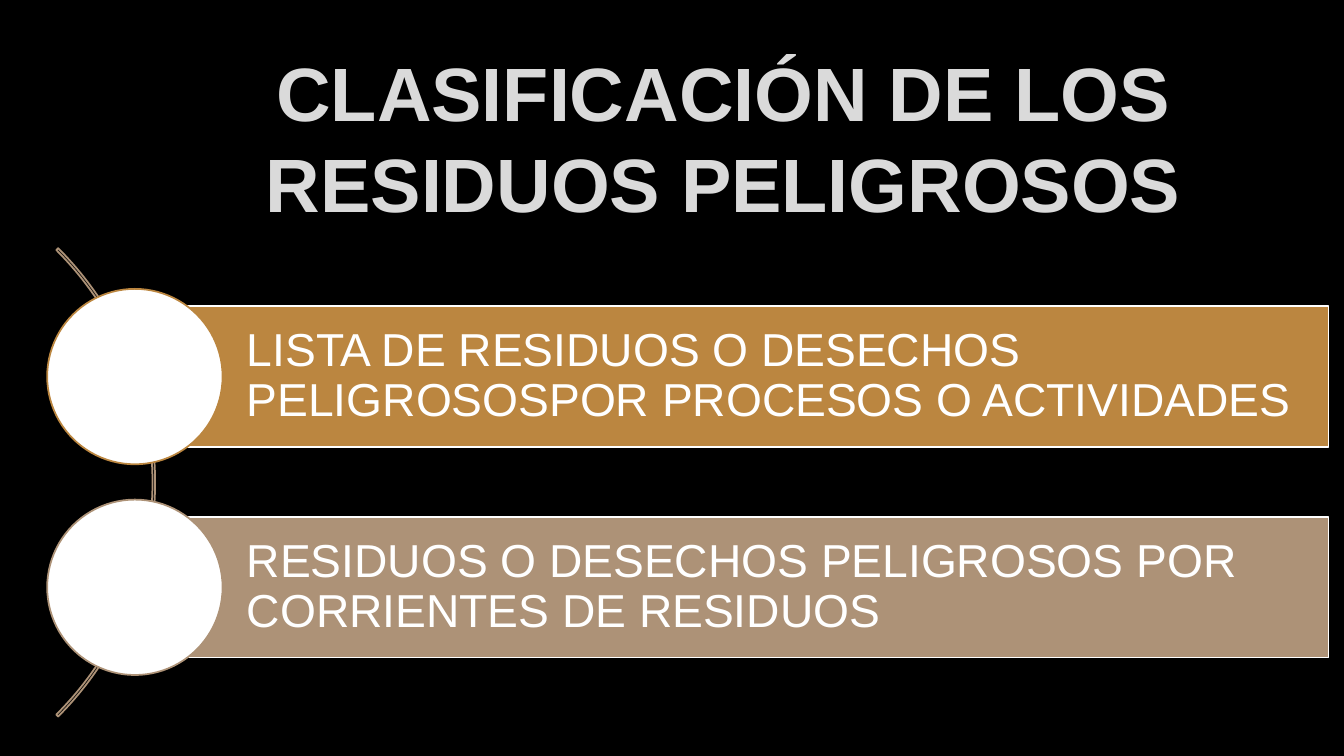
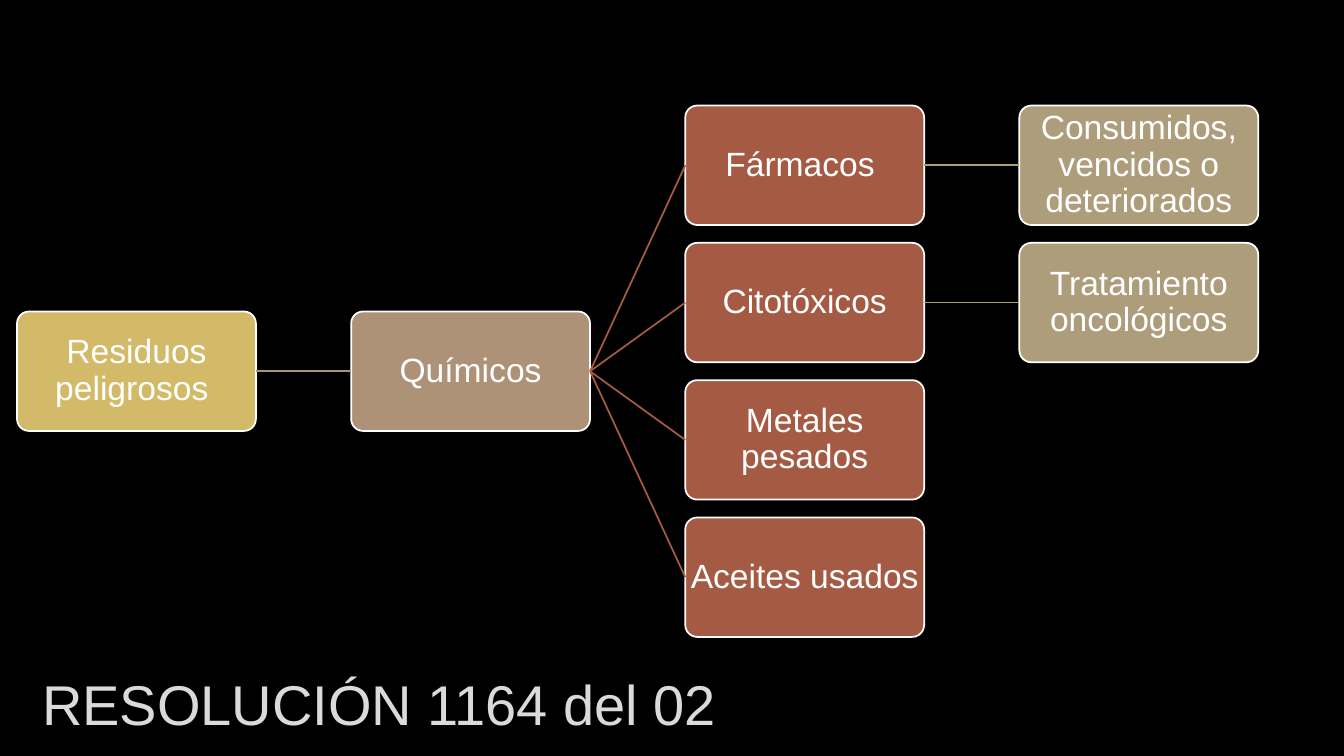
from dataclasses import dataclass

from lxml import etree
from pptx import Presentation
from pptx import util as u
from pptx.dml.color import RGBColor
from pptx.enum import shapes, text
from pptx.oxml import ns

HUES = {
    "back": "000000",
    "title": "DADADA",
    "edge": "404040",
    "white": "FFFFFF",
    "amber": "BB8640",
    "taupe": "AD9277",
    "gold": "D3BA68",
    "rust": "A55A43",
    "sand": "AD9D7B",
}
FONT = "Arial"
LINE = u.Pt(1.25)

BAR_X, BAR_Y, BAR_W, BAR_H, BAR_STEP = 3.4, 7.72, 30.08, 3.54, 5.31
DISC = 4.42

BOX_X, BOX_Y, BOX_W, BOX_H = 0.43, 2.66, 6.02, 3.01
COL_STEP, ROW_STEP = 8.42, 3.46


@dataclass(frozen=True)
class Area:
    x: float
    y: float
    w: float
    h: float

    def cm(self) -> tuple:
        return tuple(u.Cm(v) for v in (self.x, self.y, self.w, self.h))


@dataclass(frozen=True)
class Bar:
    label: str
    hue: str


@dataclass(frozen=True)
class Node:
    label: str
    col: int
    row: float
    hue: str
    root: str = ""


BARS = (
    Bar("LISTA DE RESIDUOS O DESECHOS PELIGROSOSPOR PROCESOS O ACTIVIDADES", "amber"),
    Bar("RESIDUOS O DESECHOS PELIGROSOS POR CORRIENTES DE RESIDUOS", "taupe"),
)

NODES = (
    Node("Residuos peligrosos ", 0, 1.5, "gold"),
    Node("Químicos", 1, 1.5, "taupe", "Residuos peligrosos "),
    Node("Fármacos ", 2, 0, "rust", "Químicos"),
    Node("Consumidos, vencidos o deteriorados", 3, 0, "sand", "Fármacos "),
    Node("Citotóxicos", 2, 1, "rust", "Químicos"),
    Node("Tratamiento oncológicos", 3, 1, "sand", "Citotóxicos"),
    Node("Metales pesados", 2, 2, "rust", "Químicos"),
    Node("Aceites usados", 2, 3, "rust", "Químicos"),
)


def tint(hue: str) -> RGBColor:
    return RGBColor.from_string(HUES[hue])


def write(frame, label: str, size: float, hue: str, align, bold: bool = False) -> None:
    frame.text = label
    frame.word_wrap = True
    frame.auto_size = text.MSO_AUTO_SIZE.NONE
    frame.vertical_anchor = text.MSO_ANCHOR.MIDDLE
    for para in frame.paragraphs:
        para.alignment = align
        for run in para.runs:
            run.font.name = FONT
            run.font.size = u.Pt(size)
            run.font.bold = bold
            run.font.color.rgb = tint(hue)


def trim(run) -> None:
    line = etree.Element(ns.qn("a:ln"), w=str(u.Pt(0.75)))
    fill = etree.SubElement(line, ns.qn("a:solidFill"))
    shade = etree.SubElement(fill, ns.qn("a:srgbClr"), val=HUES["edge"])
    etree.SubElement(shade, ns.qn("a:alpha"), val="10000")
    run.font._element.insert(0, line)


def start(deck, label: str, area: Area, size: float, bold: bool):
    slide = deck.slides.add_slide(deck.slide_layouts[5])
    head = slide.shapes.title
    head.left, head.top, head.width, head.height = area.cm()
    write(head.text_frame, label, size, "title", text.PP_ALIGN.CENTER, bold)
    for run in head.text_frame.paragraphs[0].runs:
        trim(run)
    return slide


def draw(slide, kind, area: Area, fill: str, edge: str):
    shape = slide.shapes.add_shape(kind, *area.cm())
    shape.shadow.inherit = False
    if fill:
        shape.fill.solid()
        shape.fill.fore_color.rgb = tint(fill)
    else:
        shape.fill.background()
    shape.line.color.rgb = tint(edge)
    shape.line.width = LINE
    return shape


def label(shape, words: str, size: float, align, left: float, pad: float) -> None:
    frame = shape.text_frame
    write(frame, words, size, "white", align)
    frame.margin_left = u.Cm(left)
    frame.margin_right = frame.margin_top = frame.margin_bottom = u.Cm(pad)
    frame.paragraphs[0].line_spacing = 0.9


def link(slide, root, leaf, hue: str) -> None:
    wire = slide.shapes.add_connector(shapes.MSO_CONNECTOR.STRAIGHT, 0, 0, 0, 0)
    wire.begin_connect(root, 3)
    wire.end_connect(leaf, 1)
    wire.line.color.rgb = tint(hue)
    wire.line.width = LINE
    etree.SubElement(wire._element.spPr, ns.qn("a:effectLst"))


def add_list(deck) -> None:
    slide = start(deck, "CLASIFICACIÓN DE LOS RESIDUOS PELIGROSOS",
                  Area(3.86, 2.11, 28.75, 2.69), 54, True)
    kind = shapes.MSO_SHAPE
    arc = draw(slide, kind.BLOCK_ARC, Area(-12.78, 3.81, 16.69, 16.69), "", "taupe")
    for i, value in enumerate((189, 27, 0.004)):
        arc.adjustments[i] = value
    for i, bar in enumerate(BARS):
        top = BAR_Y + i * BAR_STEP
        band = draw(slide, kind.RECTANGLE, Area(BAR_X, top, BAR_W, BAR_H), bar.hue, "white")
        label(band, bar.label, 33, text.PP_ALIGN.LEFT, 2.82, 0.23)
        spot = Area(BAR_X - DISC / 2, top + (BAR_H - DISC) / 2, DISC, DISC)
        draw(slide, kind.OVAL, spot, "white", bar.hue)


def add_tree(deck) -> None:
    slide = start(deck, "RESOLUCIÓN 1164 del 02 ", Area(0, 16.36, 19.5, 2.69), 40, False)
    boxes = {}
    for node in NODES:
        area = Area(BOX_X + node.col * COL_STEP, BOX_Y + node.row * ROW_STEP, BOX_W, BOX_H)
        box = draw(slide, shapes.MSO_SHAPE.ROUNDED_RECTANGLE, area, node.hue, "white")
        box.adjustments[0] = 0.1
        label(box, node.label, 24, text.PP_ALIGN.CENTER, 0.04, 0.04)
        boxes[node.label] = box
        if node.root:
            hue = "taupe" if node.col == 1 else node.hue
            link(slide, boxes[node.root], box, hue)


def main() -> None:
    deck = Presentation()
    deck.slide_width, deck.slide_height = u.Cm(33.87), u.Cm(19.05)
    fill = deck.slide_master.background.fill
    fill.solid()
    fill.fore_color.rgb = tint("back")
    add_list(deck)
    add_tree(deck)
    deck.save("out.pptx")


if __name__ == "__main__":
    main()
